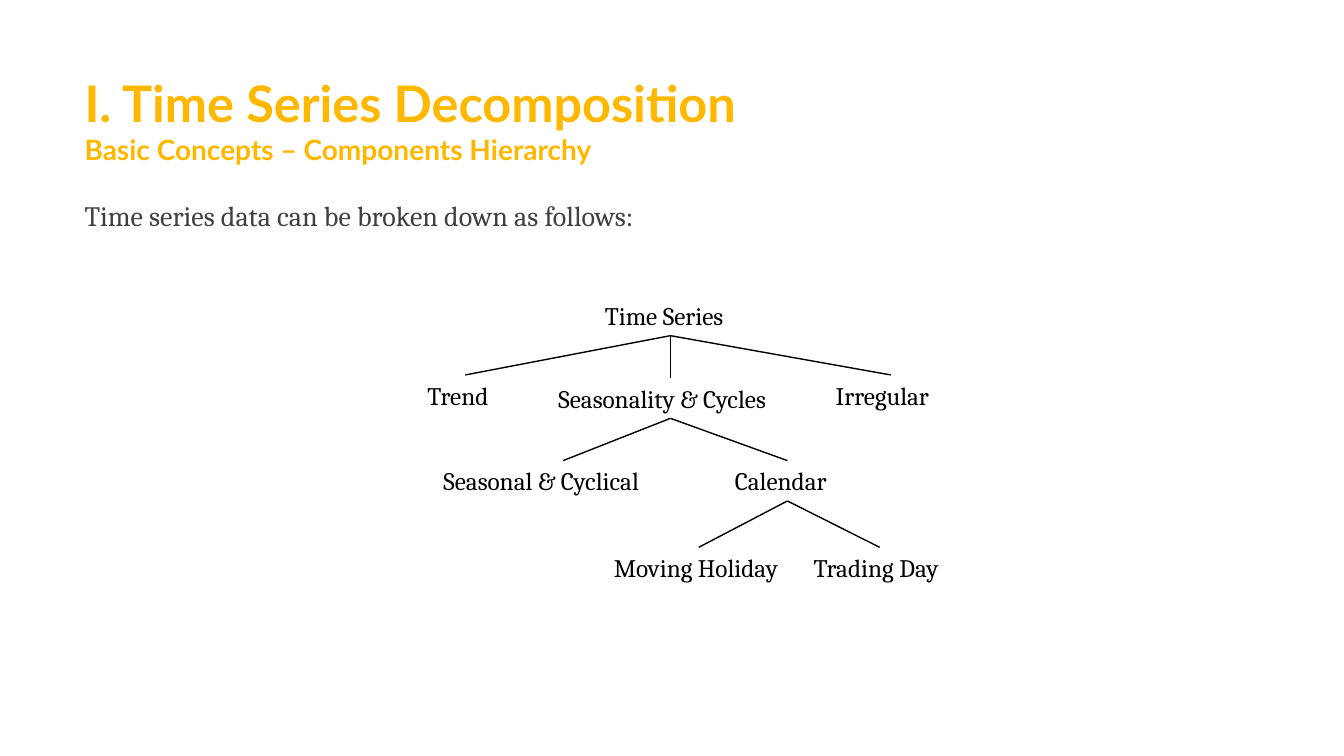
from pptx import Presentation
from pptx.dml.color import RGBColor as RGB
from pptx.enum.shapes import MSO_CONNECTOR as Link
from pptx.enum.text import MSO_ANCHOR as Anchor, MSO_AUTO_SIZE as Fit, PP_ALIGN as Align
from pptx.oxml.ns import qn
from pptx.util import Inches, Pt
from lxml import etree

GOLD = RGB(0xFF, 0xB8, 0x00)
GRAY = RGB(0x40, 0x40, 0x40)
BLACK = RGB(0, 0, 0)
ROW = 0.4

TREE = ("Time Series", 1.76, 0, 1.5, [
    ("Trend", 0, 0.79, 0.95, []),
    ("Seasonality & Cycles", 1.3, 0.82, 2.42, [
        ("Seasonal & Cyclical", 0.16, 1.64, 2.57, []),
        ("Calendar", 3.05, 1.64, 1.24, [
            ("Moving Holiday", 1.85, 2.5, 1.88, []),
            ("Trading Day", 3.83, 2.5, 1.51, []),
        ]),
    ]),
    ("Irregular", 4.05, 0.79, 1.29, []),
])


def add_frame(slide, left, top, width, height):
    box = slide.shapes.add_textbox(*map(Inches, (left, top, width, height)))
    frame = box.text_frame
    frame.word_wrap = True
    frame.vertical_anchor = Anchor.TOP
    return frame


def add_run(para, text, size, color, face="Cambria", bold=False):
    run = para.add_run()
    run.text = text
    font = run.font
    font.name, font.size, font.bold = face, Pt(size), bold
    font.color.rgb = color


def add_title(slide, left, top, width, height):
    para = add_frame(slide, left, top, width, height).paragraphs[0]
    add_run(para, "I. Time Series Decomposition", 36, GOLD, "Lato", True)
    para.add_line_break()
    add_run(para, "Basic Concepts – Components Hierarchy", 20, GOLD, "Lato", True)


def add_intro(slide, left, top, width, height):
    para = add_frame(slide, left, top, width, height).paragraphs[0]
    para.alignment = Align.JUSTIFY
    para.space_before = Pt(10)
    add_run(para, "Time series data can be broken down as follows:", 20, GRAY)


def add_link(slide, start, end):
    line = slide.shapes.add_connector(Link.STRAIGHT, *map(Inches, start + end))
    line.line.color.rgb = BLACK
    line.line.width = Pt(1)
    etree.SubElement(line._element.spPr, qn("a:effectLst"))


def add_tree(slide, left, top, node):
    text, x, y, width, kids = node
    frame = add_frame(slide, left + x, top + y, width, ROW)
    frame.auto_size = Fit.SHAPE_TO_FIT_TEXT
    add_run(frame.paragraphs[0], text, 18, BLACK)
    mid = left + x + width / 2
    for kid in kids:
        head = add_tree(slide, left, top, kid)
        add_link(slide, (mid, top + y + ROW), head)
    return mid, top + y


def main():
    deck = Presentation()
    deck.slide_width, deck.slide_height = Inches(13.33), Inches(7.5)
    slide = deck.slides.add_slide(deck.slide_layouts[6])
    add_title(slide, 0.74, 0.67, 11.83, 1.44)
    add_intro(slide, 0.74, 1.92, 9.7, 5.31)
    add_tree(slide, 4.14, 2.93, TREE)
    deck.save("out.pptx")


if __name__ == "__main__":
    main()
